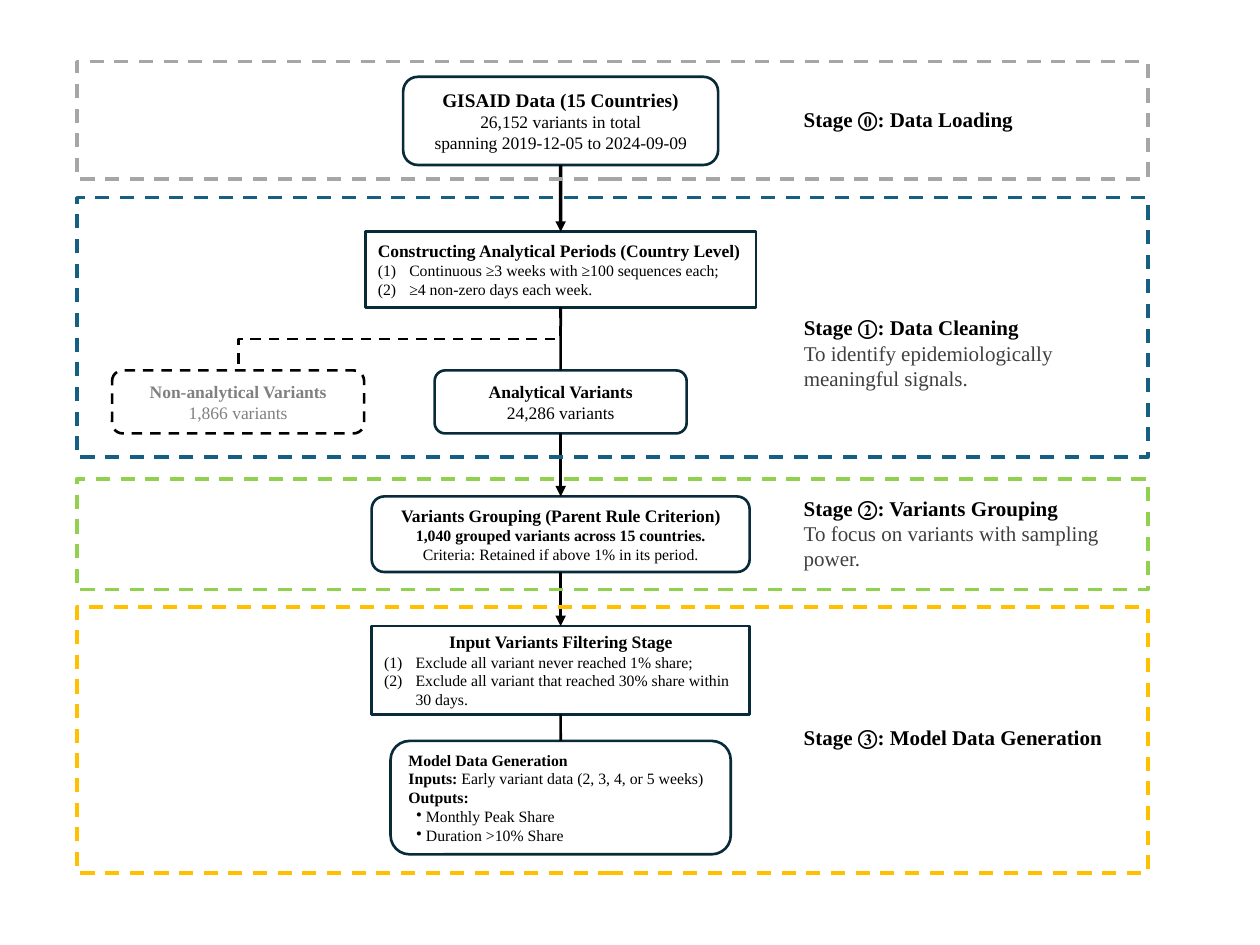
from lxml import etree
from pptx import Presentation
from pptx.dml.color import RGBColor
from pptx.enum.dml import MSO_LINE
from pptx.enum.shapes import MSO_CONNECTOR, MSO_SHAPE
from pptx.enum.text import MSO_ANCHOR, MSO_AUTO_SIZE, PP_ALIGN
from pptx.oxml.ns import qn
from pptx.util import Pt

RECTANGLE = MSO_SHAPE.RECTANGLE
ROUNDED = MSO_SHAPE.ROUNDED_RECTANGLE
STRAIGHT = MSO_CONNECTOR.STRAIGHT
ELBOW = MSO_CONNECTOR.ELBOW
DASH = MSO_LINE.DASH
LEFT, CENTER = PP_ALIGN.LEFT, PP_ALIGN.CENTER
TOP_SIDE, BOTTOM_SIDE = 0, 2

FONT = "Times New Roman"
COLORS = {
    "black": "000000",
    "white": "FFFFFF",
    "outline": "092A39",
    "muted": "808080",
    "note": "3F3F3F",
    "loading": "A6A6A6",
    "cleaning": "156082",
    "grouping": "92D050",
    "generation": "FFC000",
}
FLOW_CENTER = 320.4
SIDE_CENTER = 136.1
FRAME_LEFT, FRAME_WIDTH = 43.9, 612
LABEL_LEFT = 452.2

# Stage name, note, frame colour, frame top and height, label top, width and height
STAGES = [
    ("Stage ①: Data Cleaning", "To identify epidemiologically meaningful signals.",
     "cleaning", 113, 148.3, 176.4, 186.5, 51.1),
    ("Stage ②: Variants Grouping", "To focus on variants with sampling power.",
     "grouping", 273.6, 63.4, 279.4, 203.8, 51.1),
    ("Stage ③: Model Data Generation", None, "generation", 347, 151.9, 410.4, 194.4, 21.6),
    ("Stage ⓪: Data Loading", None, "loading", 35.3, 67, 57.6, 141.8, 21.6),
]


def rgb(name):
    return RGBColor.from_string(COLORS[name])


def add_run(paragraph, text, size=10, bold=False, color="black"):
    run = paragraph.add_run()
    run.text = text
    run.font.name = FONT
    run.font.size = Pt(size)
    run.font.bold = bold
    run.font.color.rgb = rgb(color)


def set_list_marker(paragraph, marker, margin, hanging):
    """Give the paragraph a "(1)" number or a bullet, with a hanging indent."""
    properties = paragraph._p.get_or_add_pPr()
    properties.set("marL", str(Pt(margin)))
    properties.set("indent", str(-Pt(hanging)))
    if marker == "number":
        etree.SubElement(properties, qn("a:buAutoNum"), type="arabicParenBoth")
    else:
        etree.SubElement(properties, qn("a:buChar"), char="•")


def add_line(text_frame, text, align=LEFT, marker=None, margin=18, hanging=18, **style):
    """Add a paragraph, using the empty first one if it is still free."""
    paragraph = text_frame.paragraphs[0]
    if paragraph.runs:
        paragraph = text_frame.add_paragraph()
    paragraph.alignment = align
    if marker:
        set_list_marker(paragraph, marker, margin, hanging)
    add_run(paragraph, text, **style)
    return paragraph


def add_box(slide, kind, left, top, width, height, color="outline", weight=1.5,
            dashed=False, fill=None):
    shape = slide.shapes.add_shape(kind, Pt(left), Pt(top), Pt(width), Pt(height))
    shape.shadow.inherit = False
    if fill:
        shape.fill.solid()
        shape.fill.fore_color.rgb = rgb(fill)
    else:
        shape.fill.background()
    shape.line.color.rgb = rgb(color)
    shape.line.width = Pt(weight)
    if dashed:
        shape.line.dash_style = DASH
    shape.text_frame.word_wrap = True
    shape.text_frame.vertical_anchor = MSO_ANCHOR.MIDDLE
    return shape


def add_step(slide, kind, top, width, height, center=FLOW_CENTER, **style):
    return add_box(slide, kind, center - width / 2, top, width, height, **style)


def connect(slide, upper, lower, kind=STRAIGHT, weight=1.5, arrow=False):
    """Join the bottom of the upper box to the top of the lower one."""
    connector = slide.shapes.add_connector(kind, 0, 0, 0, 0)
    connector.begin_connect(upper, BOTTOM_SIDE)
    connector.end_connect(lower, TOP_SIDE)
    connector.line.color.rgb = rgb("black")
    connector.line.width = Pt(weight)
    if arrow:
        line = connector.line._get_or_add_ln()
        etree.SubElement(line, qn("a:tailEnd"), type="triangle")
    etree.SubElement(connector._element.spPr, qn("a:effectLst"))
    return connector


def turn_upright(connector):
    """Rotate an elbow a quarter turn so that it leaves and arrives vertically."""
    across, down = connector.width, connector.height
    middle_x = connector.left + across // 2
    middle_y = connector.top + down // 2
    connector.width, connector.height = down, across
    connector.left = middle_x - down // 2
    connector.top = middle_y - across // 2
    transform = connector._element.spPr.find(qn("a:xfrm"))
    transform.attrib.pop("flipH", None)
    transform.set("rot", str(90 * 60000))


def add_stage(slide, name, note, color, top, height, label_top, label_width, label_height):
    add_box(slide, RECTANGLE, FRAME_LEFT, top, FRAME_WIDTH, height,
            color=color, weight=2, dashed=True)
    label = slide.shapes.add_textbox(Pt(LABEL_LEFT), Pt(label_top),
                                     Pt(label_width), Pt(label_height))
    label.text_frame.word_wrap = True
    label.text_frame.auto_size = MSO_AUTO_SIZE.SHAPE_TO_FIT_TEXT
    add_line(label.text_frame, name, size=12, bold=True)
    if note:
        add_line(label.text_frame, note, size=12, color="note")


def add_variant_count(slide, center, title, count, text_color="black", **style):
    step = add_step(slide, ROUNDED, 211.7, 144, 36, center=center, **style)
    add_line(step.text_frame, title, align=CENTER, bold=True, color=text_color)
    add_line(step.text_frame, count, align=CENTER, color=text_color)
    return step


def add_rules(slide, top, width, height, title, rules, align=LEFT):
    step = add_step(slide, RECTANGLE, top, width, height, fill="white")
    add_line(step.text_frame, title, align=align, bold=True)
    for rule in rules:
        add_line(step.text_frame, rule, marker="number", size=9)
    return step


def add_model_data(slide):
    step = add_step(slide, ROUNDED, 423.4, 194.4, 64.8)
    frame = step.text_frame
    add_line(frame, "Model Data Generation", size=9, bold=True)
    inputs = add_line(frame, "Inputs: ", size=9, bold=True)
    add_run(inputs, "Early variant data (2, 3, 4, or 5 weeks)", size=9)
    add_line(frame, "Outputs:", size=9, bold=True)
    for output in ("Monthly Peak Share", "Duration >10% Share"):
        add_line(frame, output, marker="bullet", margin=10, hanging=5.5, size=9)
    return step


def main():
    presentation = Presentation()
    presentation.slide_width, presentation.slide_height = Pt(720), Pt(540)
    slide = presentation.slides.add_slide(presentation.slide_layouts[6])

    data = add_step(slide, ROUNDED, 43.9, 180, 50.4)
    add_line(data.text_frame, "GISAID Data (15 Countries)", align=CENTER, size=11, bold=True)
    add_line(data.text_frame, "26,152 variants in total", align=CENTER)
    add_line(data.text_frame, "spanning 2019-12-05 to 2024-09-09", align=CENTER)

    periods = add_rules(slide, 132.5, 223.2, 43.2,
                        "Constructing Analytical Periods (Country Level)",
                        ["Continuous ≥3 weeks with ≥100 sequences each;",
                         "≥4 non-zero days each week."])
    analytical = add_variant_count(slide, FLOW_CENTER, "Analytical Variants",
                                   "24,286 variants")
    excluded = add_variant_count(slide, SIDE_CENTER, "Non-analytical Variants",
                                 "1,866 variants", text_color="muted",
                                 color="black", dashed=True)

    grouping = add_step(slide, ROUNDED, 283.7, 216, 43.2)
    add_line(grouping.text_frame, "Variants Grouping (Parent Rule Criterion)",
             align=CENTER, bold=True)
    add_line(grouping.text_frame, "1,040 grouped variants across 15 countries.",
             align=CENTER, size=9, bold=True)
    add_line(grouping.text_frame, "Criteria: Retained if above 1% in its period.",
             align=CENTER, size=9)

    filtering = add_rules(slide, 357.8, 216, 50.4, "Input Variants Filtering Stage",
                          ["Exclude all variant never reached 1% share;",
                           "Exclude all variant that reached 30% share within 30 days."],
                          align=CENTER)
    model_data = add_model_data(slide)

    for upper, lower in ((data, periods), (analytical, grouping), (grouping, filtering)):
        connect(slide, upper, lower, weight=2, arrow=True)
    connect(slide, periods, analytical)
    connect(slide, filtering, model_data)
    branch = connect(slide, periods, excluded, kind=ELBOW)
    branch.line.dash_style = DASH
    turn_upright(branch)

    for stage in STAGES:
        add_stage(slide, *stage)
    presentation.save("out.pptx")


if __name__ == "__main__":
    main()
